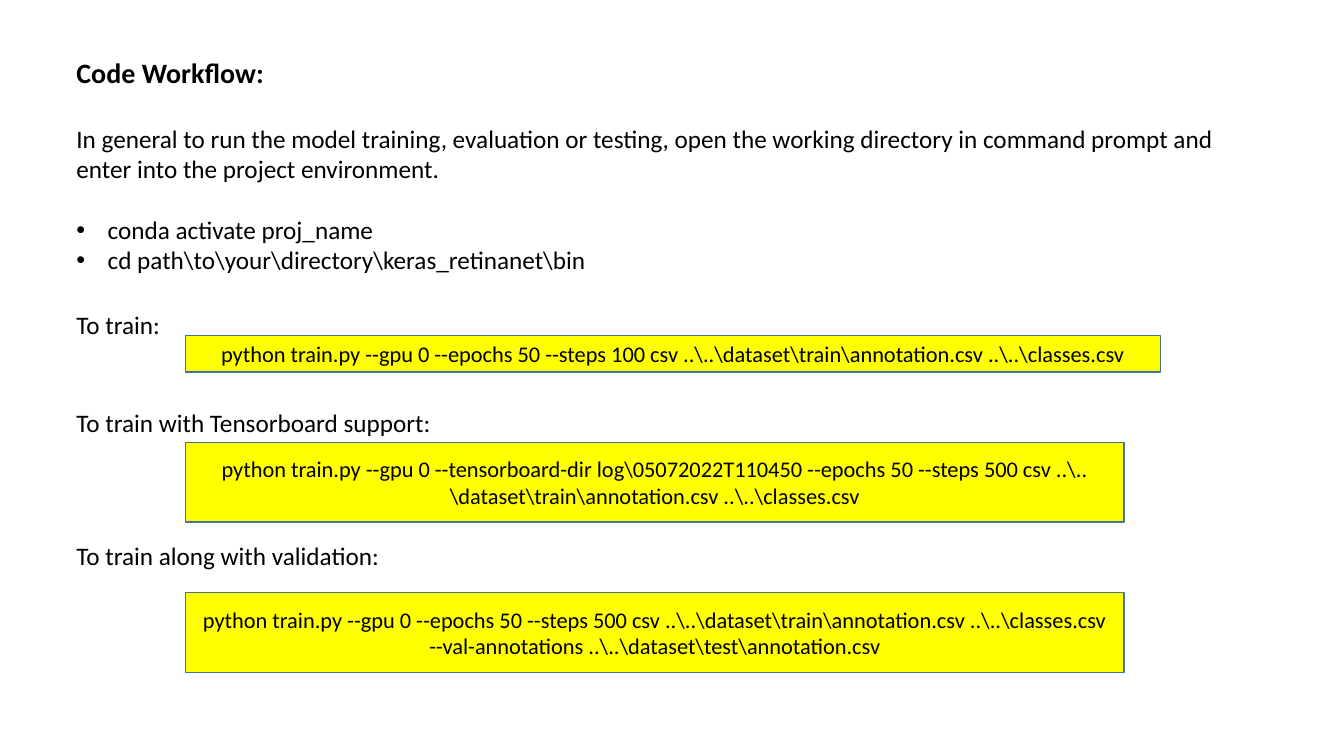
from lxml.etree import SubElement
from pptx import Presentation
from pptx.dml.color import RGBColor
from pptx.enum.shapes import MSO_SHAPE
from pptx.enum.text import MSO_ANCHOR, PP_ALIGN
from pptx.oxml.ns import qn
from pptx.util import Inches, Pt


def color(code):
    return RGBColor.from_string(code)


class Deck:
    """Hold the style and current slide, and add its elements."""

    font = "Calibri"
    ink = "000000"
    fill = "FFFF00"
    edge = "43739E"

    def __init__(self, slide):
        self.slide = slide

    def run(self, para, text, size, bold=False):
        run = para.add_run()
        run.text = text
        font = run.font
        font.name, font.size, font.bold = self.font, Pt(size), bold
        font.color.rgb = color(self.ink)

    def bullet(self, para):
        props = para._p.get_or_add_pPr()
        props.set("marL", str(Inches(0.31)))
        props.set("indent", str(-Inches(0.31)))
        SubElement(props, qn("a:buFont"), typeface="Arial")
        SubElement(props, qn("a:buChar"), char="•")

    def text(self, left, top, width, height, lines):
        box = self.slide.shapes.add_textbox(
            Inches(left), Inches(top), Inches(width), Inches(height))
        frame = box.text_frame
        frame.word_wrap = True
        for i, (text, size, gap, kind) in enumerate(lines):
            para = frame.add_paragraph() if i else frame.paragraphs[0]
            para.space_before = Pt(gap)
            if kind == "bullet":
                self.bullet(para)
            self.run(para, text, size, kind == "title")

    def code(self, left, top, width, height, text):
        box = self.slide.shapes.add_shape(
            MSO_SHAPE.RECTANGLE, Inches(left), Inches(top), Inches(width), Inches(height))
        box.shadow.inherit = False
        box.fill.solid()
        box.fill.fore_color.rgb = color(self.fill)
        box.line.color.rgb = color(self.edge)
        box.line.width = Pt(1)
        frame = box.text_frame
        frame.word_wrap = True
        frame.vertical_anchor = MSO_ANCHOR.MIDDLE
        para = frame.paragraphs[0]
        para.alignment = PP_ALIGN.CENTER
        self.run(para, text, 16)


def main():
    show = Presentation()
    show.slide_width, show.slide_height = Inches(13.33), Inches(7.5)
    deck = Deck(show.slides.add_slide(show.slide_layouts[6]))

    gap = 24.4
    deck.text(0.66, 0.5, 12.04, 5.22, [
        ("Code Workflow:", 20, 0, "title"),
        ("In general to run the model training, evaluation or testing, open the "
         "working directory in command prompt and enter into the project "
         "environment.", 18, gap, "body"),
        ("conda activate proj_name", 18, 22, "bullet"),
        (r"cd path\to\your\directory\keras_retinanet\bin", 18, 0, "bullet"),
        ("To train:", 18, gap, "body"),
        ("To train with Tensorboard support:", 18, 2 * gap, "body"),
        ("To train along with validation:", 18, 3 * gap, "body"),
    ])

    start = "python train.py --gpu 0 "
    data = r"csv ..\..\dataset\train\annotation.csv ..\..\classes.csv"
    for top, width, height, rest in [
        (3.33, 9.67, 0.36, f"--epochs 50 --steps 100 {data}"),
        (4.39, 9.31, 0.79,
         rf"--tensorboard-dir log\05072022T110450 --epochs 50 --steps 500 {data}"),
        (5.88, 9.31, 0.79,
         rf"--epochs 50 --steps 500 {data} --val-annotations ..\..\dataset\test\annotation.csv"),
    ]:
        deck.code(1.84, top, width, height, start + rest)

    show.save("out.pptx")


if __name__ == "__main__":
    main()
